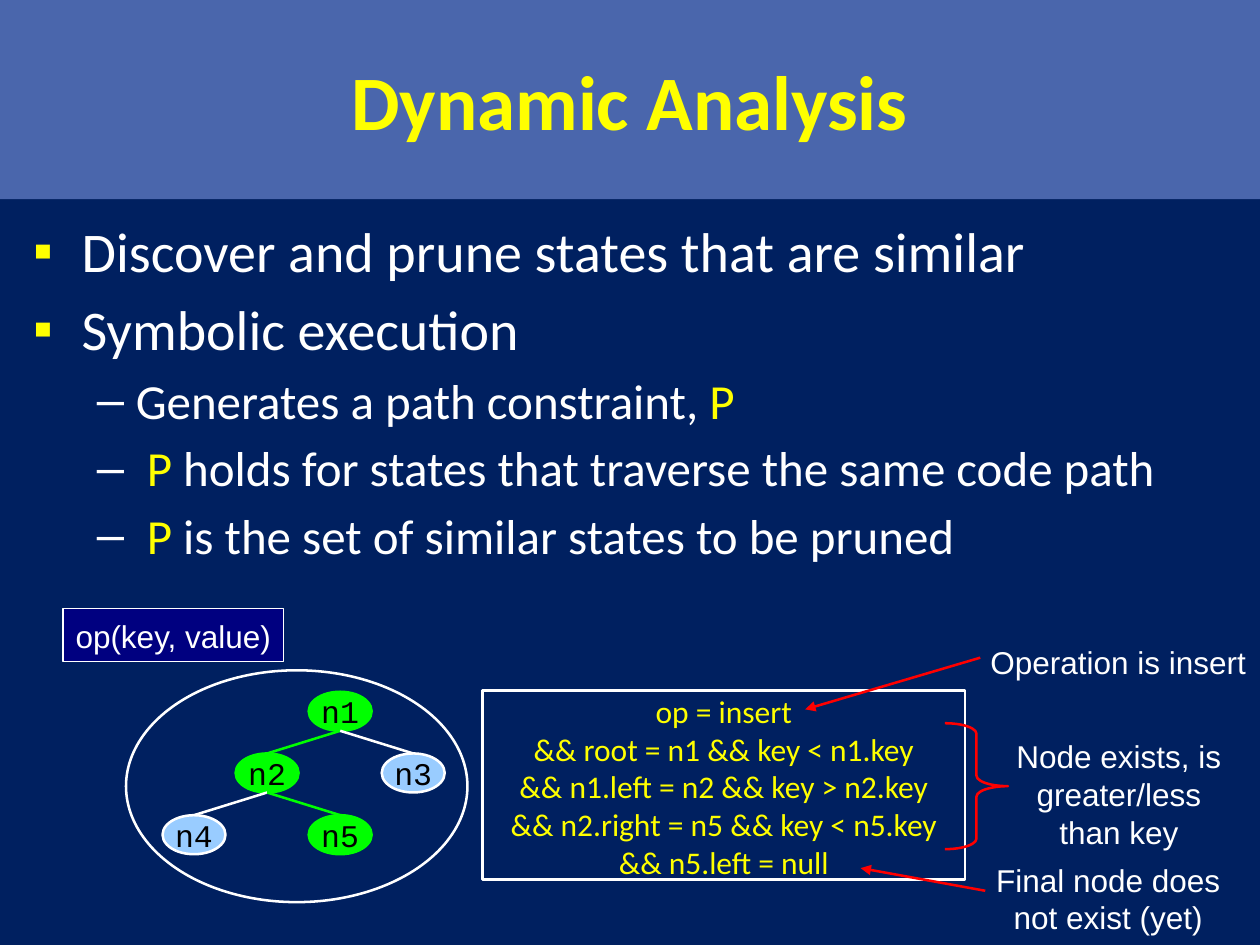
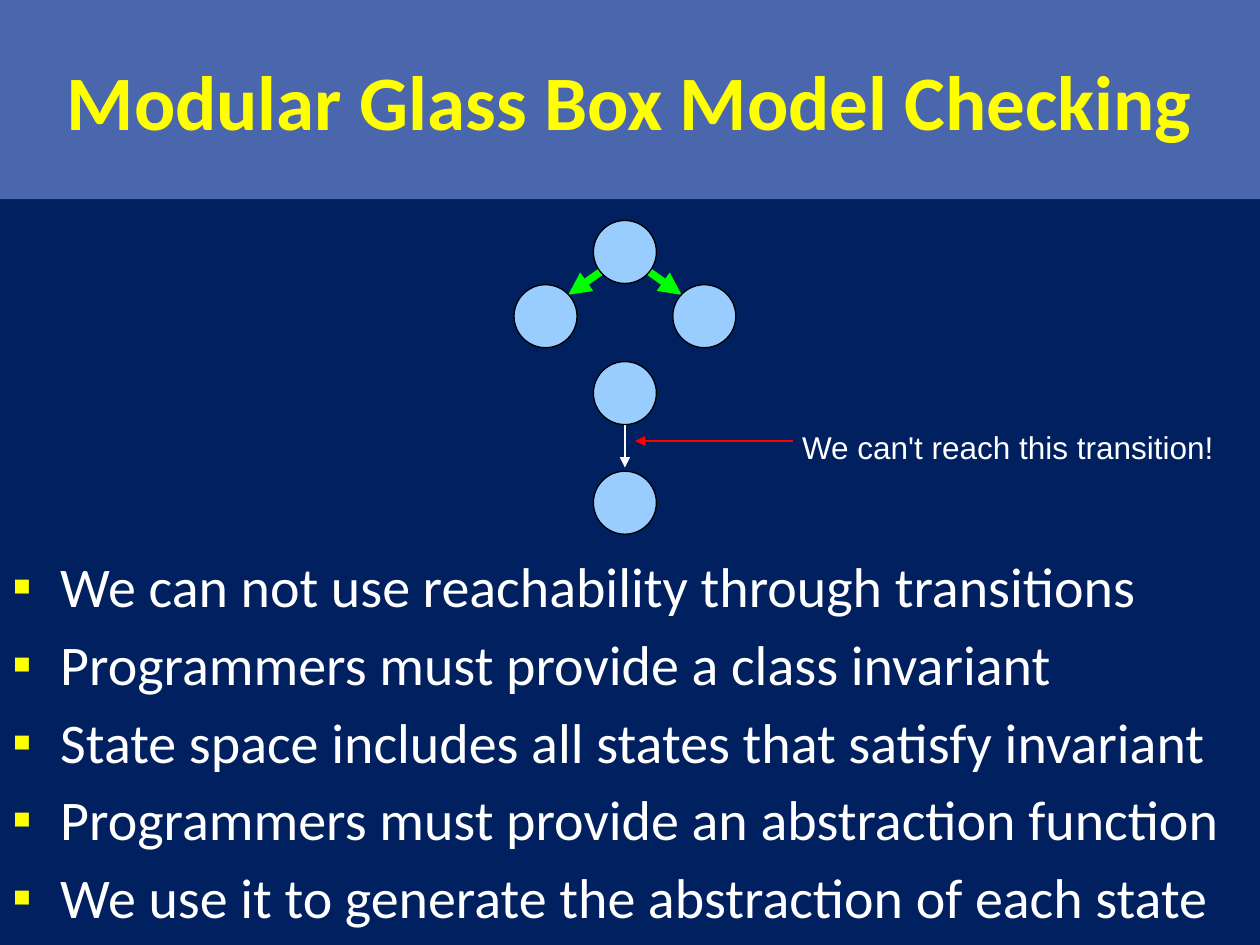
from lxml import etree
from pptx import Presentation
from pptx.dml.color import RGBColor
from pptx.enum.shapes import MSO_CONNECTOR, MSO_SHAPE
from pptx.enum.text import MSO_ANCHOR, PP_ALIGN
from pptx.oxml.ns import qn
from pptx.util import Inches, Pt

STRAIGHT = MSO_CONNECTOR.STRAIGHT
OVAL, RECTANGLE, BRACE = MSO_SHAPE.OVAL, MSO_SHAPE.RECTANGLE, MSO_SHAPE.RIGHT_BRACE
TOP, MIDDLE = MSO_ANCHOR.TOP, MSO_ANCHOR.MIDDLE
LEFT, CENTER = PP_ALIGN.LEFT, PP_ALIGN.CENTER

COLORS = {
    "background": "002060", "band": "4A66AC", "accent": "FFFF00",
    "text": "FFFFFF", "visited": "00FF00", "node": "99CCFF",
    "label": "000080", "callout": "FF0000", "outline": "000000",
}
TITLE = {"name": "Calibri", "size": Pt(44), "bold": True}
BODY = {"name": "Calibri", "size": Pt(32)}
SUB_BODY = {"name": "Calibri", "size": Pt(28)}
CONSTRAINT = {"name": "Calibri", "size": Pt(18)}
NOTE = {"name": "Arial", "size": Pt(18)}
NODE = {"name": "Courier New", "size": Pt(18)}
BULLETS = [
    {"char": "▪", "color": "accent", "left": 0.38, "hang": 0.38, "font": BODY, "gap": 6},
    {"char": "–", "color": "text", "left": 0.81, "hang": 0.31, "font": SUB_BODY, "gap": 5},
]
LINE = 1.45


def rgb(name):
    return RGBColor.from_string(COLORS[name])


class Deck:
    def __init__(self):
        self.presentation = Presentation()
        self.presentation.slide_width = Inches(10)
        self.presentation.slide_height = Inches(7.5)
        self.slide = None

    def new_slide(self, title):
        self.slide = self.presentation.slides.add_slide(self.presentation.slide_layouts[5])
        self.slide.background.fill.solid()
        self.slide.background.fill.fore_color.rgb = rgb("background")
        band = self.slide.shapes.title
        band.left, band.top, band.width, band.height = 0, 0, Inches(10), Inches(1.58)
        band.fill.solid()
        band.fill.fore_color.rgb = rgb("band")
        self.set_text(band.text_frame, [title], TITLE, "accent", anchor=MIDDLE)

    def add_run(self, paragraph, text, font, color):
        run = paragraph.add_run()
        run.text = text
        for name, value in font.items():
            setattr(run.font, name, value)
        run.font.color.rgb = rgb(color)

    def set_text(self, frame, lines, font, color, anchor=TOP, wrap=True):
        """Fill a text frame with centred lines in one style."""
        frame.word_wrap = wrap
        frame.vertical_anchor = anchor
        for index, line in enumerate(lines):
            paragraph = frame.add_paragraph() if index else frame.paragraphs[0]
            paragraph.alignment = CENTER
            self.add_run(paragraph, line, font, color)

    def shape(self, kind, left, top, width, height, fill=None, line="text", weight=LINE):
        shape = self.slide.shapes.add_shape(
            kind, Inches(left), Inches(top), Inches(width), Inches(height))
        shape.shadow.inherit = False
        if fill:
            shape.fill.solid()
            shape.fill.fore_color.rgb = rgb(fill)
        else:
            shape.fill.background()
        shape.line.color.rgb = rgb(line)
        shape.line.width = Pt(weight)
        return shape

    def text_box(self, left, top, width, height):
        box = self.slide.shapes.add_textbox(
            Inches(left), Inches(top), Inches(width), Inches(height))
        box.text_frame.word_wrap = True
        return box

    def note(self, text, left, top, width, height):
        frame = self.text_box(left, top, width, height).text_frame
        frame.margin_top = Inches(0.07)
        self.set_text(frame, [text], NOTE, "text")

    def connector(self, start, end, color, weight=LINE, arrow=False):
        connector = self.slide.shapes.add_connector(
            STRAIGHT, *(Inches(value) for value in (*start, *end)))
        connector.line.color.rgb = rgb(color)
        connector.line.width = Pt(weight)
        if arrow:
            outline = connector._element.spPr.find(qn("a:ln"))
            etree.SubElement(outline, qn("a:tailEnd"), type="triangle")
        etree.SubElement(connector._element.spPr, qn("a:effectLst"))

    def bullets(self, items, left, top, width, height):
        """Each item is a level and its text pieces; odd pieces are accented."""
        frame = self.text_box(left, top, width, height).text_frame
        for index, (level, *pieces) in enumerate(items):
            style = BULLETS[level]
            paragraph = frame.add_paragraph() if index else frame.paragraphs[0]
            paragraph.level = level
            paragraph.alignment = LEFT
            properties = paragraph._p.get_or_add_pPr()
            properties.set("marL", str(Inches(style["left"])))
            properties.set("indent", str(-Inches(style["hang"])))
            color = etree.SubElement(properties, qn("a:buClr"))
            etree.SubElement(color, qn("a:srgbClr"), val=COLORS[style["color"]])
            etree.SubElement(properties, qn("a:buFont"), typeface="Arial")
            etree.SubElement(properties, qn("a:buChar"), char=style["char"])
            if index:
                paragraph.space_before = Pt(style["gap"])
            for position, piece in enumerate(pieces):
                self.add_run(paragraph, piece, style["font"], "accent" if position % 2 else "text")

    def tree(self, nodes, edges, width, height):
        """Nodes map a name to centre x, top y and whether it was visited."""
        for name, (x, y, visited) in nodes.items():
            fill, line = ("visited", "visited") if visited else ("node", "text")
            node = self.shape(OVAL, x - width / 2, y, width, height, fill, line)
            self.set_text(node.text_frame, [name], NODE, "outline", MIDDLE, wrap=False)
        for parent, child in edges:
            x, y, _ = nodes[parent]
            child_x, child_y, visited = nodes[child]
            self.connector((x, y + height), (child_x, child_y), "visited" if visited else "text")


def dynamic_analysis(deck):
    deck.new_slide("Dynamic Analysis")
    deck.bullets([
        (0, "Discover and prune states that are similar"),
        (0, "Symbolic execution"),
        (1, "Generates a path constraint, ", "P"),
        (1, " ", "P", " holds for states that traverse the same code path"),
        (1, " ", "P", " is the set of similar states to be pruned"),
    ], 0.17, 1.67, 9.67, 3.1)

    root_x, root_y, step_x, step_y = 2.7, 5.49, 0.58, 0.49
    nodes = {
        "n1": (root_x, root_y, True),
        "n2": (root_x - step_x, root_y + step_y, True),
        "n3": (root_x + step_x, root_y + step_y, False),
        "n4": (root_x - 2 * step_x, root_y + 2 * step_y, False),
        "n5": (root_x, root_y + 2 * step_y, True),
    }
    edges = [("n1", "n2"), ("n1", "n3"), ("n2", "n4"), ("n2", "n5")]
    deck.tree(nodes, edges, 0.5, 0.31)
    deck.shape(OVAL, 1, 5.32, 2.71, 1.84)

    operation = deck.shape(RECTANGLE, 0.5, 4.83, 1.75, 0.42, "label", weight=0.75)
    operation.text_frame.margin_top = Inches(0.07)
    deck.set_text(operation.text_frame, ["op(key, value)"], NOTE, "text")

    constraint = deck.shape(RECTANGLE, 3.83, 5.48, 3.83, 1.5)
    constraint.text_frame.margin_top = Inches(0.08)
    constraint.text_frame.margin_bottom = Inches(0.06)
    deck.set_text(constraint.text_frame, [
        "op = insert",
        "&& root = n1 && key < n1.key",
        "&& n1.left = n2 && key > n2.key",
        "&& n2.right = n5 && key < n5.key",
        "&& n5.left = null",
    ], CONSTRAINT, "accent", MIDDLE, wrap=False)

    deck.note("Operation is insert", 7.5, 5.03, 2.75, 0.38)
    deck.connector((7.78, 5.22), (6.39, 5.63), "callout", arrow=True)
    brace = deck.shape(BRACE, 7.5, 5.74, 0.5, 1, line="callout")
    brace.adjustments[0] = 0.167
    deck.note("Node exists, is greater/less than key", 7.88, 5.78, 2, 0.94)
    deck.connector((7.82, 7.07), (6.83, 6.89), "callout", arrow=True)
    deck.note("Final node does not exist (yet)", 7.67, 6.76, 2.25, 0.66)


def modular_checking(deck):
    deck.new_slide("Modular Glass Box Model Checking")
    deck.bullets([
        (0, "We can not use reachability through transitions"),
        (0, "Programmers must provide a class invariant"),
        (0, "State space includes all states that satisfy invariant"),
        (0, "Programmers must provide an abstraction function"),
        (0, "We use it to generate the abstraction of each state"),
    ], 0, 4.33, 10, 3.17)

    center, diameter = 4.96, 0.5
    deck.connector((center, 3.21), (center, 3.71), "text", arrow=True)
    for side in (-1, 1):
        deck.connector((center + side * 0.07, 2.07), (center + side * 0.45, 2.34),
                       "visited", 4.31, arrow=True)
    for offset, top in [(0, 1.75), (-0.63, 2.26), (0.63, 2.26), (0, 2.87), (0, 3.74)]:
        deck.shape(OVAL, center + offset - diameter / 2, top, diameter, diameter,
                   "node", "outline", 0.75)

    deck.note("We can't reach this transition!", 6.25, 3.33, 3.5, 0.38)
    deck.connector((6.29, 3.5), (5.04, 3.5), "callout", arrow=True)


def main():
    deck = Deck()
    dynamic_analysis(deck)
    modular_checking(deck)
    deck.presentation.save("out.pptx")


if __name__ == "__main__":
    main()
